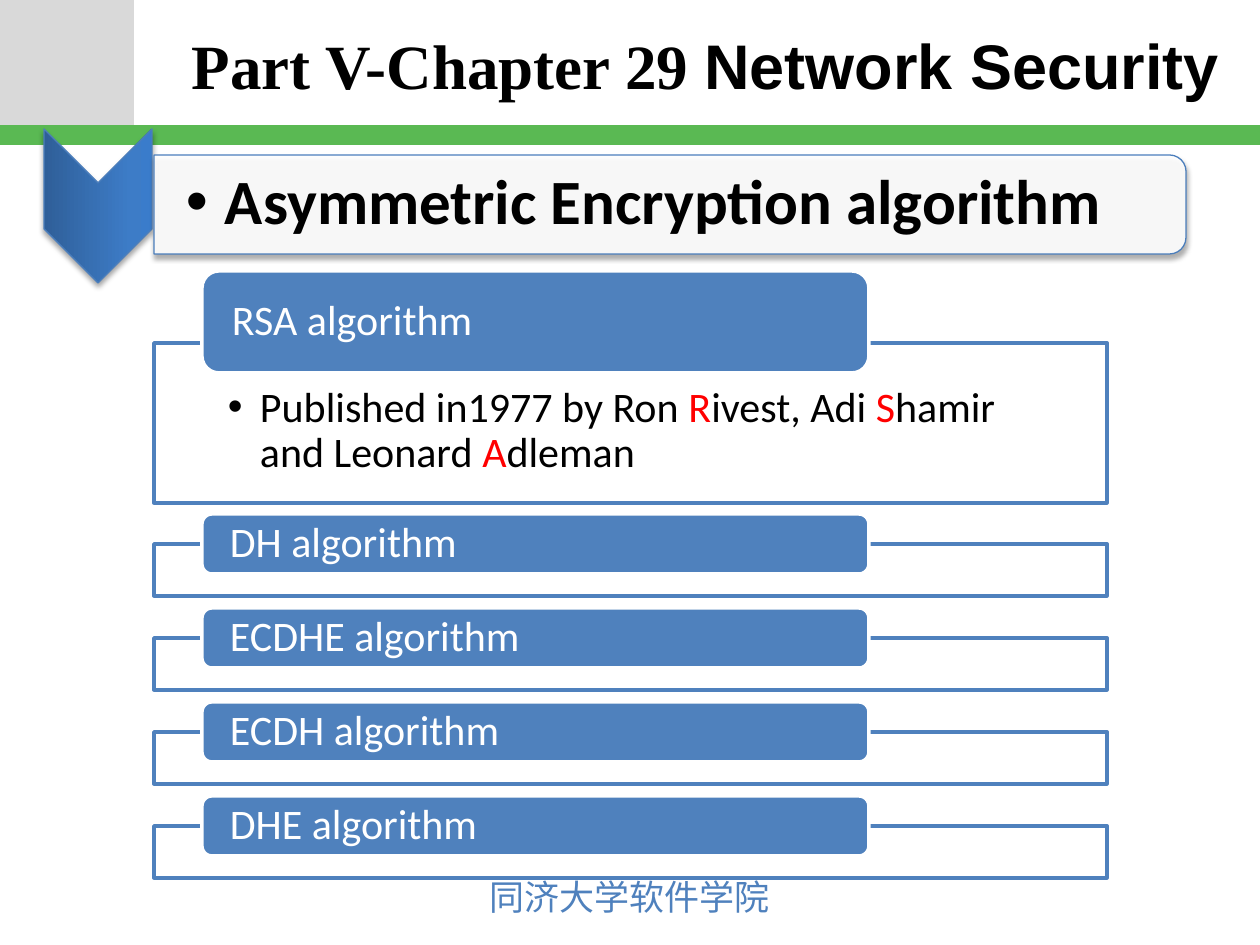
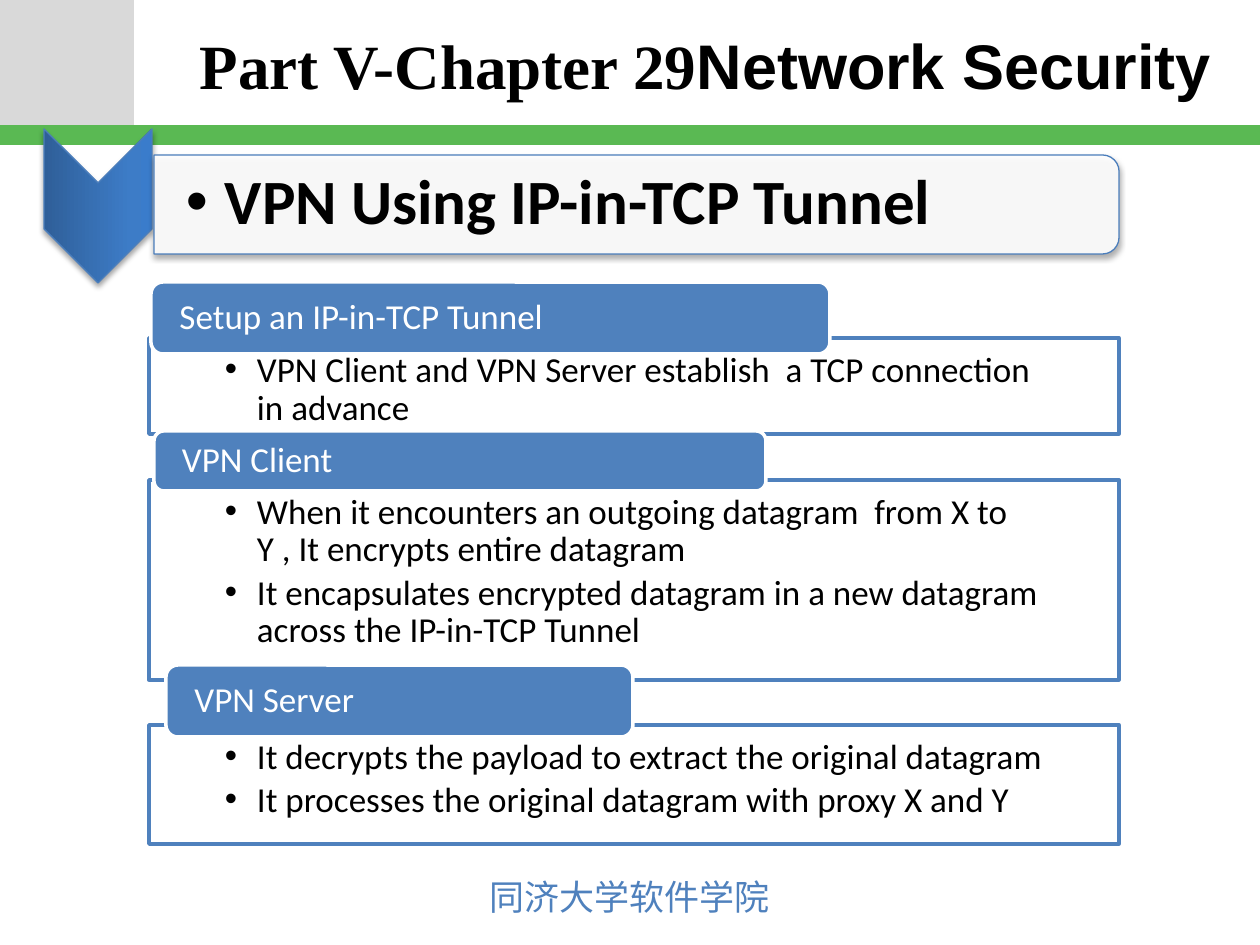
"""Build two network security slides with tabbed frames under a chevron heading."""
from lxml.etree import SubElement
from pptx import Presentation
from pptx.dml.color import RGBColor as Rgb
from pptx.enum.shapes import MSO_SHAPE as Shape
from pptx.enum.text import MSO_ANCHOR as Anchor, PP_ALIGN as Align
from pptx.oxml import parse_xml
from pptx.oxml.ns import nsdecls, qn
from pptx.util import Pt

EMU_PER_PX = 914400 / 126
COLORS = {
    "corner": "D9D9D9", "band": "5AB953", "blue": "4F81BD", "edge": "4B7EBC",
    "white": "FFFFFF", "black": "000000", "red": "FF0000",
}
CHEVRON_STOPS = [(0, "2F5F99"), (80, "3D7CC7"), (100, "3A7CCB")]
SERIF, SANS, BODY, CHINESE = "Times New Roman", "Arial", "Calibri", "Noto Sans CJK JP"
FOOTER = "同济大学软件学院"
RED = {"color": "red"}

SLIDES = [
    {
        "title": ("Part V-Chapter 29 ", "Network Security"),
        "heading": "Asymmetric Encryption algorithm",
        "heading_width": 1032, "size": 24,
        "frame_x": 154, "frame_width": 953, "insets": (74, 43, 74, 24),
        "sections": [
            {"name": "RSA algorithm", "frame": (343, 160), "tab": (202, 271, 667, 102),
             "points": [["Published in1977 by Ron ", ("R", RED), "ivest, Adi ",
                         ("S", RED), "hamir and Leonard ", ("A", RED), "dleman"]]},
        ] + [
            {"name": f"{name} algorithm", "frame": (544 + 94 * row, 52),
             "tab": (202, 514 + 94 * row, 667, 60), "points": []}
            for row, name in enumerate(["DH", "ECDHE", "ECDH", "DHE"])
        ],
    },
    {
        "title": ("Part V-Chapter 29", "Network Security"),
        "heading": "VPN Using IP-in-TCP Tunnel",
        "heading_width": 965, "size": 20,
        "frame_x": 149, "frame_width": 970, "insets": (76, 14, 76, 20),
        "sections": [
            {"name": "Setup an IP-in-TCP Tunnel", "frame": (338, 96),
             "tab": (151, 282, 679, 72),
             "points": [["VPN Client and VPN Server establish  a TCP connection in advance"]]},
            {"name": "VPN Client", "frame": (480, 200), "tab": (154, 431, 612, 60),
             "points": [
                 ["When it encounters an outgoing datagram  from X to Y , "
                  "It encrypts entire datagram"],
                 ["It encapsulates encrypted datagram in a new datagram "
                  "across the IP-in-TCP Tunnel"]]},
            {"name": "VPN Server", "frame": (725, 119), "tab": (166, 665, 467, 72),
             "points": [["It decrypts the payload to extract the original datagram"],
                        ["It processes the original datagram with proxy X and Y"]]},
        ],
    },
]


def px(length):
    return round(length * EMU_PER_PX)


def write(box, paragraphs, size, color="black", font=BODY, bold=False, align=Align.LEFT,
          anchor=Anchor.TOP, insets=(13, 6, 13, 6), wrap=True, indent=0, spacing=None, after=0):
    frame = box.text_frame
    frame.word_wrap = wrap
    frame.vertical_anchor = anchor
    (frame.margin_left, frame.margin_top,
     frame.margin_right, frame.margin_bottom) = map(px, insets)
    for index, runs in enumerate(paragraphs):
        para = frame.add_paragraph() if index else frame.paragraphs[0]
        para.alignment = align
        if spacing:
            para.line_spacing = spacing
        if after:
            para.space_after = Pt(after)
        if indent:
            props = para._p.get_or_add_pPr()
            props.set("marL", str(px(indent)))
            props.set("indent", str(-px(indent)))
            SubElement(props, qn("a:buFont")).set("typeface", SANS)
            SubElement(props, qn("a:buChar")).set("char", "•")
        for run in runs:
            text, changes = (run, {}) if isinstance(run, str) else run
            span = para.add_run()
            span.text = text
            span.font.size = Pt(size)
            span.font.bold = bold
            span.font.color.rgb = Rgb.from_string(COLORS[changes.get("color", color)])
            span.font.name = changes.get("font", font)
            SubElement(span._r.get_or_add_rPr(), qn("a:ea")).set("typeface", span.font.name)


def add_box(page, x, y, width, height):
    return page.shapes.add_textbox(px(x), px(y), px(width), px(height))


def add_block(page, kind, x, y, width, height, fill, line=None, weight=2, alpha=100, turned=False):
    if turned:
        x, y = x + (width - height) / 2, y + (height - width) / 2
        width, height = height, width
    block = page.shapes.add_shape(kind, px(x), px(y), px(width), px(height))
    block.rotation = 90 if turned else 0
    block.shadow.inherit = False
    block.fill.solid()
    block.fill.fore_color.rgb = Rgb.from_string(COLORS[fill])
    if alpha < 100:
        color = block._element.spPr.find(qn("a:solidFill"))[0]
        SubElement(color, qn("a:alpha")).set("val", str(alpha * 1000))
    if line:
        block.line.color.rgb = Rgb.from_string(COLORS[line])
        block.line.width = Pt(weight)
    else:
        block.line.fill.background()
    return block


def add_shadow(block):
    effects = block._element.spPr.find(qn("a:effectLst"))
    effects.append(parse_xml(
        f'<a:outerShdw {nsdecls("a")} blurRad="{Pt(3.1)}" dist="{Pt(1.8)}" dir="5400000" '
        'rotWithShape="0"><a:srgbClr val="000000"><a:alpha val="35000"/></a:srgbClr>'
        '</a:outerShdw>'))


def add_gradient(block, stops):
    props = block._element.spPr
    marks = "".join(f'<a:gs pos="{pos * 1000}"><a:srgbClr val="{color}"/></a:gs>'
                    for pos, color in stops)
    gradient = parse_xml(f'<a:gradFill {nsdecls("a")} rotWithShape="1"><a:gsLst>{marks}</a:gsLst>'
                         '<a:lin ang="16200000" scaled="0"/></a:gradFill>')
    props.replace(props.find(qn("a:solidFill")), gradient)


def add_base(page, title):
    add_block(page, Shape.RECTANGLE, 0, 0, 134, 125, "corner")
    add_block(page, Shape.RECTANGLE, 0, 125, 1260, 20, "band")
    write(add_box(page, 476, 869, 309, 55), [[FOOTER]], 20, color="blue",
          font=CHINESE, wrap=False)
    chapter, subject = title
    write(add_box(page, 151, 2, 1109, 124), [[chapter, (subject, {"font": SANS})]], 36,
          font=SERIF, bold=True, align=Align.CENTER, anchor=Anchor.MIDDLE)


def add_heading(page, text, width):
    chevron = add_block(page, Shape.CHEVRON, 44, 129, 108, 154, "blue", "edge", 0.75, turned=True)
    add_gradient(chevron, CHEVRON_STOPS)
    banner = add_block(page, Shape.ROUND_2_SAME_RECTANGLE, 154, 155, width, 99,
                       "white", "edge", 0.75, alpha=90, turned=True)
    for block in (chevron, banner):
        add_shadow(block)
    write(add_box(page, 154, 160, width - 5, 89), [[text]], 36, bold=True,
          anchor=Anchor.MIDDLE, insets=(32, 2, 2, 2), indent=39, spacing=0.9)


def add_section(page, section, layout):
    top, height = section["frame"]
    frame = add_block(page, Shape.RECTANGLE, layout["frame_x"], top, layout["frame_width"],
                      height, "white", "blue", alpha=90)
    if section["points"]:
        write(frame, section["points"], layout["size"], insets=layout["insets"],
              indent=32, spacing=0.9, after=3)
    tab = add_block(page, Shape.ROUNDED_RECTANGLE, *section["tab"], "blue", "white")
    write(tab, [[section["name"]]], layout["size"], color="white", anchor=Anchor.MIDDLE,
          insets=(25, 0, 25, 0), spacing=0.9)


def main():
    deck = Presentation()
    deck.slide_width, deck.slide_height = px(1260), px(945)
    for content in SLIDES:
        page = deck.slides.add_slide(deck.slide_layouts[6])
        add_base(page, content["title"])
        add_heading(page, content["heading"], content["heading_width"])
        for section in content["sections"]:
            add_section(page, section, content)
    deck.save("out.pptx")


if __name__ == "__main__":
    main()
